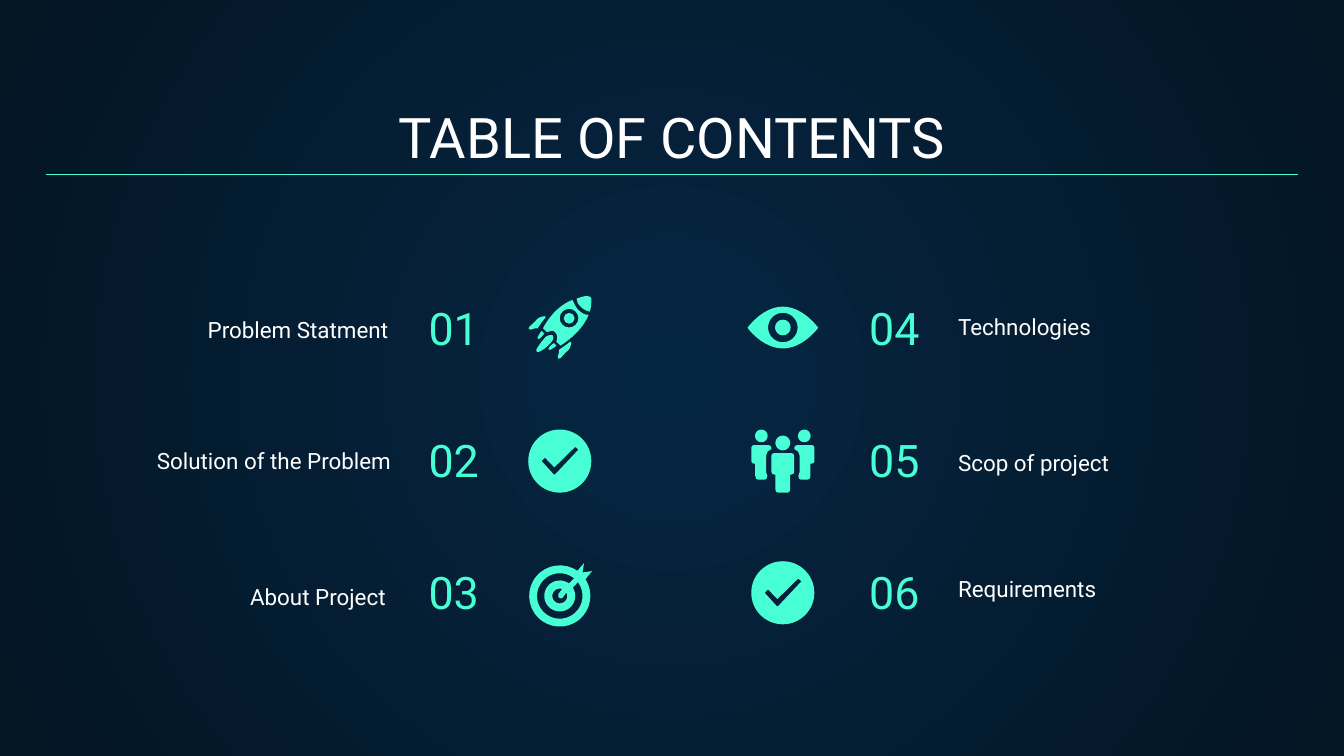
from math import cos, radians, sin, tan

from lxml.etree import SubElement
from pptx import Presentation
from pptx.dml.color import RGBColor
from pptx.enum.shapes import MSO_CONNECTOR
from pptx.enum.text import MSO_ANCHOR, PP_ALIGN
from pptx.oxml import parse_xml
from pptx.oxml.ns import nsdecls, qn
from pptx.util import Pt

HUES = {"mint": "48FFD5", "white": "FFFFFF", "core": "052643", "edge": "041523"}
FONT = "Roboto"
WIDE, HIGH = 720, 405
EDGE = 24.5
TOP, STEP = 149.8, 70.55
LEFT_X, RIGHT_X = 299.9, 419.4

# Label, its left and its top, row by row
LEFT = [("Problem Statment", 51.8, 175.7), ("Solution of the Problem", 53.3, 246.2),
        ("About Project", 50.4, 319)]
RIGHT = [("Technologies", 506.2, 174.2), ("Scop of project", 506.2, 247),
         ("Requirements", 506.2, 314.6)]


def hue(name):
    return RGBColor.from_string(HUES[name])


def paint(slide):
    """Fill the background with a gradient that runs out from the centre."""
    fill = slide.background.fill
    fill.gradient()
    for stop, name in zip(fill.gradient_stops, ("core", "edge")):
        stop.color.rgb = hue(name)
    line = next(slide.element.iter(qn("a:lin")))
    line.getparent().replace(line, parse_xml(
        f'<a:path {nsdecls("a")} path="circle">'
        '<a:fillToRect l="50000" t="50000" r="50000" b="50000"/></a:path>'))


def write(slide, text, box, size, color, align):
    frame = slide.shapes.add_textbox(*map(Pt, box)).text_frame
    frame.word_wrap = True
    frame.vertical_anchor = MSO_ANCHOR.BOTTOM
    frame.margin_left = frame.margin_right = Pt(7.2)
    frame.margin_top = frame.margin_bottom = Pt(7.2)
    para = frame.paragraphs[0]
    para.text = text
    para.alignment = align
    para.font.name = FONT
    para.font.size = Pt(size)
    para.font.color.rgb = hue(color)


def rule(slide, y):
    line = slide.shapes.add_connector(
        MSO_CONNECTOR.STRAIGHT, Pt(EDGE), Pt(y), Pt(WIDE - EDGE), Pt(y))
    line.line.color.rgb = hue("mint")
    line.line.width = Pt(0.75)
    SubElement(line.element.spPr, qn("a:effectLst"))


def arc(r, a=0, b=360, x=0, y=0):
    """Loop along a circle from angle a to angle b, in four Bezier curves."""
    step = radians(b - a) / 4
    k = 4 / 3 * tan(step / 4)
    loop = [(x + r * cos(radians(a)), y + r * sin(radians(a)))]
    for i in range(4):
        s = radians(a) + i * step
        e = s + step
        loop.append((x + r * (cos(s) - k * sin(s)), y + r * (sin(s) + k * cos(s)),
                     x + r * (cos(e) + k * sin(e)), y + r * (sin(e) - k * cos(e)),
                     x + r * cos(e), y + r * sin(e)))
    return loop


def flip(loop):
    return [tuple(n if i % 2 else -n for i, n in enumerate(part)) for part in loop]


def cross(loop):
    """Mirror a loop in the rising diagonal."""
    return [tuple(-part[i ^ 1] for i in range(len(part))) for part in loop]


def whole(half):
    """Join a left half to its mirrored right half, drawn backwards."""
    side = flip(half)
    back = [(*b[2:4], *b[:2], *a[-2:]) if len(b) == 6 else a[-2:]
            for a, b in zip(side, side[1:])]
    return half + [side[-1][-2:]] + back[::-1]


def draw(shapes, x, y, *loops):
    """Fill loops round the centre x, y; inner loops make holes.

    A loop is a start, then parts: two numbers for a line, six for a Bezier curve.
    """
    form = None
    for loop in loops:
        pts = [(Pt(x + part[i]), Pt(y + part[i + 1]))
               for part in loop for i in range(0, len(part), 2)]
        if form is None:
            form = shapes.build_freeform(*pts[0], scale=1.0)
        else:
            form.move_to(*pts[0])
        form.add_line_segments(pts[1:])
    shape = form.convert_to_shape()
    shape.shadow.inherit = False
    shape.fill.solid()
    shape.fill.fore_color.rgb = hue("mint")
    shape.line.fill.background()
    nodes = iter(list(shape.element.iter(qn("a:lnTo"))))
    for part in (part for loop in loops for part in loop[1:]):
        node = next(nodes)
        if len(part) == 6:
            node.tag = qn("a:cubicBezTo")
            for more in (next(nodes), next(nodes)):
                node.append(more[0])
                more.getparent().remove(more)


def rocket(slide, x, y):
    fin = [(-7.9, -6.1), (-9.7, -6.1, -11.9, -5.4, -13.3, -3.2), (-16.4, -0.4),
           (-17.2, 0.2, -16.8, 1.4, -15.5, 1.1), (-14, 0.4, -13, 0.3, -11.9, 0.4),
           (-10.4, -1.8, -9, -4, -7.6, -5.4)]
    spark = [(-9.7, 1.8), (-11.2, 3.2, -11.2, 4.7, -11.9, 5),
             (-12, 5.8, -11.7, 6.3, -11.2, 6.1), (-10.4, 5.6, -9.5, 5, -9, 4),
             (-8.3, 3.2)]
    flame = [(-4.7, 4), (-5.4, 4, -6.8, 4.3, -7.6, 5),
             (-10.4, 8.3, -11.9, 10.4, -12.6, 11.9),
             (-12.7, 12.8, -12.3, 13.4, -11.5, 13.1),
             (-9.7, 12.6, -7.6, 11.2, -4.7, 8), (-3.2, 6.8, -3.2, 4.7, -4, 4)]
    nose = [(14.8, -16.9), (12.6, -16.9, 11.2, -16.2, 9, -15.5),
            (9, -14, 9.7, -12.6, 11.2, -11.2), (12.6, -9.7, 14.8, -8.6, 16, -8.6),
            (16.9, -10.4, 16.9, -13.3, 16.9, -15.5),
            (16.9, -16.2, 16.2, -16.9, 14.8, -16.9)]
    body = [(6.8, -14.8), (1.1, -12.6, -4.7, -7.6, -9, 0.4), (-6.8, 2.5),
            (-6.1, 1.8, -5.4, 1.8, -4.7, 1.8), (-4, 1.8, -2.5, 1.8, -2.5, 2.5),
            (-1.1, 4, -1.1, 5.4, -1.8, 7.6), (0.4, 9.7),
            (6.1, 6.1, 12.6, 0.4, 15.5, -6.8), (13.3, -6.8, 11.9, -7.6, 9.7, -9.7),
            (8.3, -11.2, 7.6, -13.3, 6.8, -14.8)]
    shapes = slide.shapes.add_group_shape().shapes
    for loop in (fin, cross(fin), spark, cross(spark), flame, nose, arc(2.9, x=5, y=-5)):
        draw(shapes, x, y, loop)
    draw(shapes, x, y, body, arc(5, x=5, y=-5))


def check(slide, x, y):
    tick = [(8.3, -7.6), (10, -6.1), (-2.5, 7.2), (-3.2, 7.2), (-9.7, 0),
            (-7.9, -1.8), (-2.9, 3.4)]
    draw(slide.shapes, x, y, arc(16.9), tick)


def target(slide, x, y):
    disc = arc(16.4, -33, 305) + [(13, -17.6), (12.2, -12.6), (17.3, -13.3)]
    ring = arc(12.2, -37, 309) + arc(8.3, 306, -33)
    hub = arc(4, -27, 289) + [(-0.7, -1.1), (-0.7, 0.7), (0.4, 1.3), (1.4, 1.1)]
    draw(slide.shapes, x, y, disc, ring, hub)


def eye(slide, x, y):
    half = [(0, -11.2), (-6.8, -11.2, -13.3, -6.8, -18.4, -0.6),
            (-19, -0.2, -19, 0.4, -18.4, 0.9), (-13.3, 7, -6.8, 11.2, 0, 11.2)]
    draw(slide.shapes, x, y, whole(half), arc(7.9), arc(4.2))


def team(slide, x, y):
    head = arc(3.4, x=-11.5, y=-13.5)
    side = [(-15.5, -8.6), (-16.3, -8.6, -16.9, -8, -16.9, -7.2), (-16.9, 0),
            (-16.9, 0.8, -16.3, 1.4, -15.5, 1.4), (-14.8, 1.4), (-14.8, 7.9),
            (-14.8, 9.2, -14.2, 10, -13.1, 10), (-9.7, 10),
            (-8.9, 10, -8.3, 9.2, -8.3, 7.9), (-8.6, 7.2, -9, 6.5, -9, 5.8),
            (-9, -2.9), (-9, -4.5, -7.7, -6, -6.1, -6.5), (-6.1, -7.2),
            (-6.1, -8, -6.9, -8.6, -7.9, -8.6)]
    half = [(-4.7, -4.3), (-5.6, -4.3, -6.1, -3.7, -6.1, -2.9), (-6.1, 5.8),
            (-6.1, 6.6, -5.5, 7.2, -4.6, 7.2), (-4, 7.2), (-4, 15.1),
            (-4, 16.2, -3.3, 16.9, -2.5, 16.9)]
    shapes = slide.shapes.add_group_shape().shapes
    for loop in (head, side, flip(head), flip(side), whole(half), arc(4, y=-9.7)):
        draw(shapes, x, y, loop)


def column(slide, first, left, items, x, sides, icons):
    """Write one column of numbered labels; sides align number and label."""
    for row, (text, start, top) in enumerate(items):
        write(slide, f"{first + row:02}", (left, TOP + row * STEP, 92.9, 47.5), 24,
              "mint", sides[0])
        write(slide, text, (start, top, 163.4, 15.1), 12, "white", sides[1])
        icon, drop = icons[row]
        icon(slide, x, 175.5 + row * STEP + drop)


def main():
    deck = Presentation()
    deck.slide_width, deck.slide_height = Pt(WIDE), Pt(HIGH)
    slide = deck.slides.add_slide(deck.slide_layouts[6])
    paint(slide)
    write(slide, "TABLE OF CONTENTS", (EDGE, 50.4, WIDE - 2 * EDGE, 47.5), 30,
          "white", PP_ALIGN.CENTER)
    rule(slide, 93.6)
    column(slide, 1, 222.5, LEFT, LEFT_X, (PP_ALIGN.LEFT, PP_ALIGN.RIGHT),
           [(rocket, 0), (check, 1), (target, 2.7)])
    column(slide, 4, 406.8, RIGHT, RIGHT_X, (PP_ALIGN.RIGHT, PP_ALIGN.LEFT),
           [(eye, 0), (team, 1), (check, 1)])
    deck.save("out.pptx")


if __name__ == "__main__":
    main()
